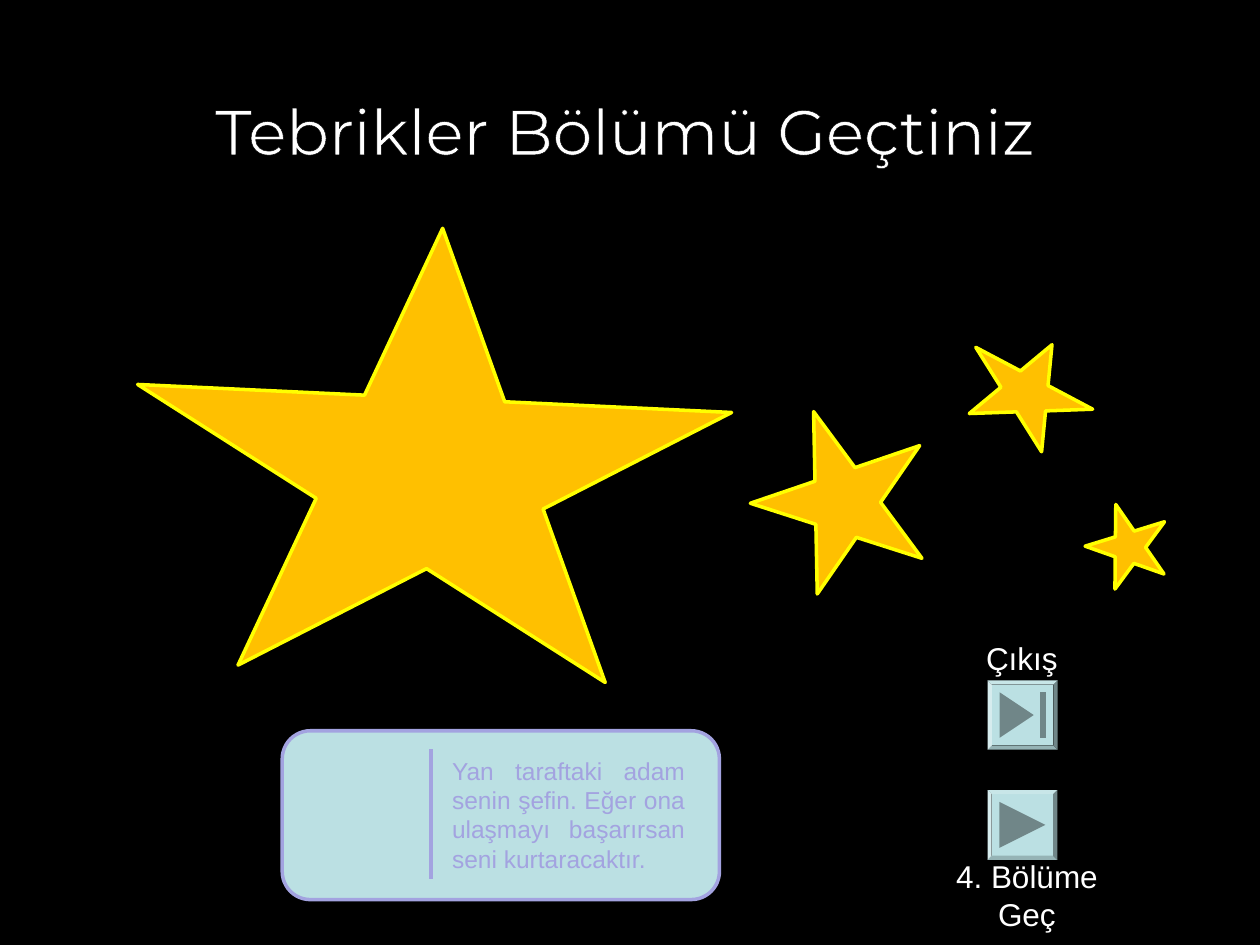
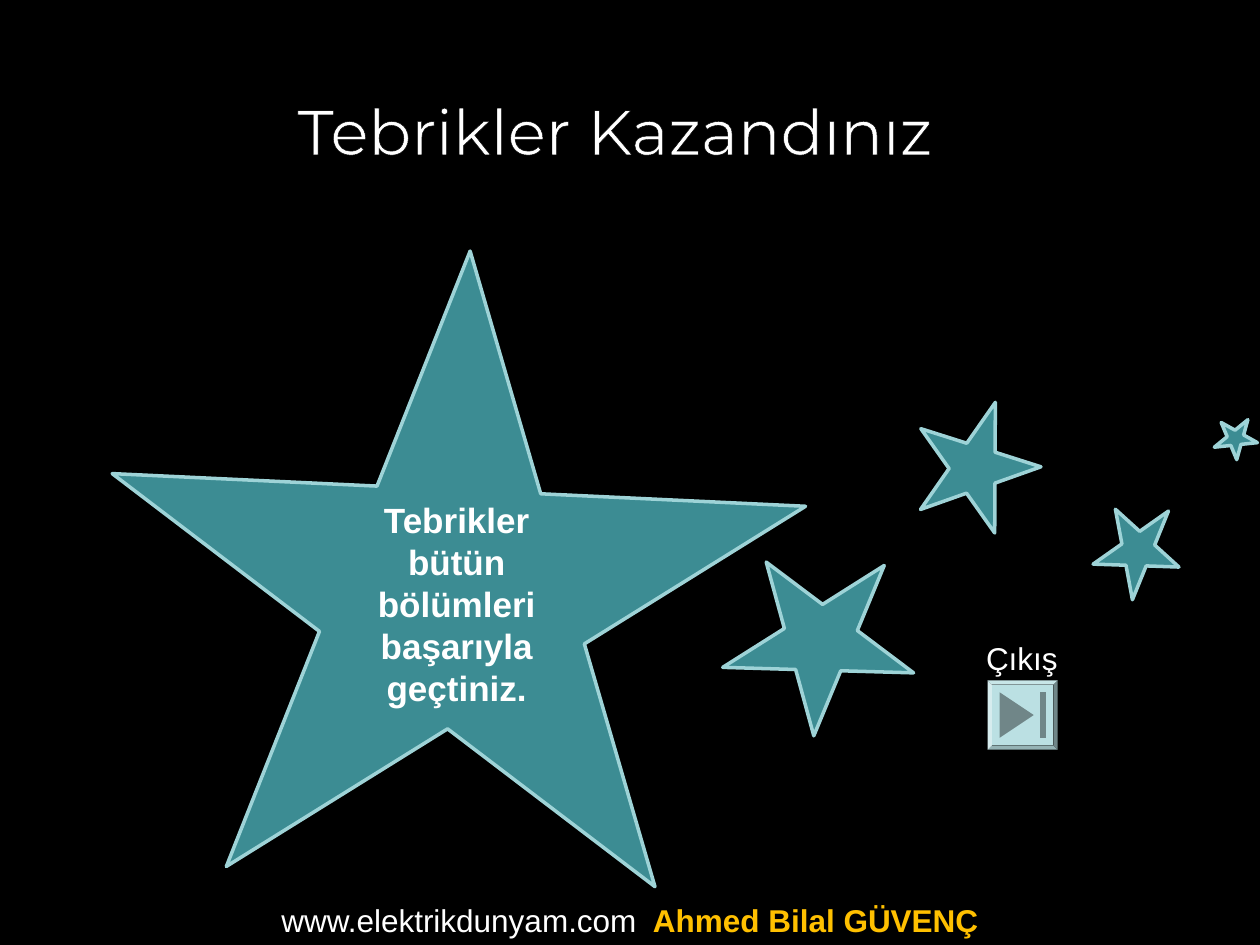
from dataclasses import dataclass

from lxml.etree import SubElement
from pptx import Presentation
from pptx.dml.color import RGBColor
from pptx.enum.shapes import MSO_CONNECTOR, MSO_SHAPE
from pptx.enum.text import MSO_ANCHOR, PP_ALIGN
from pptx.oxml import parse_xml
from pptx.oxml.ns import nsdecls, qn
from pptx.util import Inches, Pt

BLACK = RGBColor(0x00, 0x00, 0x00)
WHITE = RGBColor(0xFF, 0xFF, 0xFF)
GOLD = RGBColor(0xFF, 0xC0, 0x00)
YELLOW = RGBColor(0xFF, 0xFF, 0x00)
TEAL = RGBColor(0x3C, 0x8C, 0x93)
LIGHT_TEAL = RGBColor(0x9E, 0xD3, 0xD7)
PALE_BLUE = RGBColor(0xBB, 0xE0, 0xE3)
LILAC = RGBColor(0xA3, 0xA3, 0xE0)
GLYPH_GRAY = RGBColor(0x70, 0x86, 0x88)

# The slide is a grid of 100 columns by 75 rows
COLUMNS, ROWS = 100, 75
SLIDE_WIDTH, SLIDE_HEIGHT = Inches(10), Inches(7.5)
LINE_WIDTH = Pt(2)

TITLE = {"name": "Montserrat", "size": Pt(36)}
LABEL = {"name": "Arial", "size": Pt(18)}
STRONG = {"name": "Arial", "size": Pt(20), "bold": True}
HINT = {"name": "Arial", "size": Pt(14)}
CREDIT = {**LABEL, "bold": True}

# Button glyphs, as outlines in shares of the button
NEXT_GLYPH = [[(0.17, 0.17), (0.83, 0.5), (0.17, 0.83)]]
END_GLYPH = [
    [(0.17, 0.17), (0.66, 0.5), (0.17, 0.83)],
    [(0.75, 0.17), (0.83, 0.17), (0.83, 0.83), (0.75, 0.83)],
]


@dataclass
class Box:
    """A region given in columns and rows of the slide grid."""
    left: float
    top: float
    width: float
    height: float

    def point(self, across, down):
        return (int((self.left + across * self.width) * SLIDE_WIDTH / COLUMNS),
                int((self.top + down * self.height) * SLIDE_HEIGHT / ROWS))

    def inner(self, left, top, width, height):
        return Box(self.left + left * self.width, self.top + top * self.height,
                   width * self.width, height * self.height)

    def frame(self):
        left, top = self.point(0, 0)
        right, bottom = self.point(1, 1)
        return left, top, right - left, bottom - top


def paint(shape, fill, line=None):
    shape.shadow.inherit = False
    shape.fill.solid()
    shape.fill.fore_color.rgb = fill
    if line is None:
        shape.line.fill.background()
    else:
        shape.line.color.rgb = line
        shape.line.width = LINE_WIDTH


def add_text(slide, box, runs, align=PP_ALIGN.CENTER, wrap=True):
    """Place one paragraph; runs are (text, format, colour)."""
    text_frame = slide.shapes.add_textbox(*box.frame()).text_frame
    text_frame.word_wrap = wrap
    text_frame.vertical_anchor = MSO_ANCHOR.TOP
    paragraph = text_frame.paragraphs[0]
    paragraph.alignment = align
    for text, format_values, color in runs:
        run = paragraph.add_run()
        run.text = text
        for attribute, value in format_values.items():
            setattr(run.font, attribute, value)
        run.font.color.rgb = color
    return paragraph


def add_title(slide, box, text):
    paragraph = add_text(slide, box, [(text, TITLE, WHITE)], wrap=False)
    # Thin black outline around the letters
    outline = parse_xml(
        f'<a:ln {nsdecls("a")} w="{Pt(0.75)}"><a:solidFill>'
        f'<a:srgbClr val="{BLACK}"/></a:solidFill></a:ln>')
    paragraph.runs[0].font._element.insert(0, outline)


def add_stars(slide, stars, fill, line):
    for box, rotation in stars:
        star = slide.shapes.add_shape(MSO_SHAPE.STAR_5_POINT, *box.frame())
        star.rotation = rotation
        paint(star, fill, line)


def add_button(slide, box, glyph):
    button = slide.shapes.add_shape(MSO_SHAPE.BEVEL, *box.frame())
    button.adjustments[0] = 0.06
    paint(button, PALE_BLUE)
    for outline in glyph:
        points = [box.point(*share) for share in outline]
        builder = slide.shapes.build_freeform(*points[0])
        builder.add_line_segments(points[1:], close=True)
        paint(builder.convert_to_shape(), GLYPH_GRAY)


def add_exit(slide, box):
    """A label over a button, in a region 11.8 columns by 9.3 rows."""
    add_text(slide, box.inner(0, 0, 1, 0.43), [("Çıkış", LABEL, WHITE)])
    add_button(slide, box.inner(0.27, 0.41, 0.47, 0.59), END_GLYPH)


def add_next(slide, box):
    """A button over a label, in a region 14.2 columns by 11.8 rows."""
    add_text(slide, box.inner(0, 0.41, 1, 0.59), [("4. Bölüme Geç", LABEL, WHITE)])
    add_button(slide, box.inner(0.28, 0, 0.39, 0.47), NEXT_GLYPH)


def add_hint(slide, box, text):
    card = slide.shapes.add_shape(MSO_SHAPE.ROUNDED_RECTANGLE, *box.frame())
    paint(card, PALE_BLUE, LILAC)
    # Divider between the empty side and the text
    divider = slide.shapes.add_connector(
        MSO_CONNECTOR.STRAIGHT, *box.point(0.34, 0.11), *box.point(0.34, 0.88))
    divider.line.color.rgb = LILAC
    divider.line.width = LINE_WIDTH
    SubElement(divider._element.spPr, qn("a:effectLst"))
    add_text(slide, box.inner(0.36, 0.11, 0.59, 0.78), [(text, HINT, LILAC)],
             align=PP_ALIGN.JUSTIFY)


def add_black_slide(presentation):
    slide = presentation.slides.add_slide(presentation.slide_layouts[6])
    slide.background.fill.solid()
    slide.background.fill.fore_color.rgb = BLACK
    return slide


def build_level_passed(presentation):
    slide = add_black_slide(presentation)
    add_stars(slide, [
        (Box(10.7, 18.1, 47.2, 35.4), 2.7),
        (Box(76.4, 26.9, 10.5, 7.9), 27.9),
        (Box(86.2, 39.9, 6.6, 6.4), 342.9),
        (Box(59.7, 32.3, 14.2, 13.8), 341.2),
    ], GOLD, YELLOW)
    add_hint(slide, Box(22.4, 58, 34.7, 13.4),
             "Yan taraftaki adam senin şefin. Eğer ona ulaşmayı "
             "başarırsan seni kurtaracaktır.")
    add_title(slide, Box(10.6, 6.8, 78, 7.1), "Tebrikler Bölümü Geçtiniz")
    add_exit(slide, Box(75.2, 50.2, 11.8, 9.3))
    add_next(slide, Box(74.4, 62.7, 14.2, 11.8))


def build_game_won(presentation):
    slide = add_black_slide(presentation)
    add_stars(slide, [
        (Box(86.8, 40.6, 7.6, 6.4), 112.1),
        (Box(57.2, 43.8, 14.3, 14.5), 254.7),
        (Box(72.5, 31.7, 10, 9.9), 17.6),
        (Box(96.3, 33.2, 3.2, 3.3), 247.3),
        (Box(8.6, 19.9, 55.1, 49.7), 2.7),
    ], TEAL, LIGHT_TEAL)
    add_text(slide, Box(25.6, 39.1, 21.3, 17.7),
             [("Tebrikler bütün bölümleri başarıyla geçtiniz.", STRONG, WHITE)])
    add_title(slide, Box(20.9, 6.8, 55.8, 7.1), "Tebrikler Kazandınız")
    add_exit(slide, Box(75.2, 50.2, 11.8, 9.3))
    # Footer across the full width
    add_text(slide, Box(0, 71, COLUMNS, 4), [
        ("www.elektrikdunyam.com ", LABEL, WHITE),
        (" Ahmed Bilal GÜVENÇ", CREDIT, GOLD),
    ])


def main():
    presentation = Presentation()
    presentation.slide_width = SLIDE_WIDTH
    presentation.slide_height = SLIDE_HEIGHT
    build_level_passed(presentation)
    build_game_won(presentation)
    presentation.save("out.pptx")


if __name__ == "__main__":
    main()
